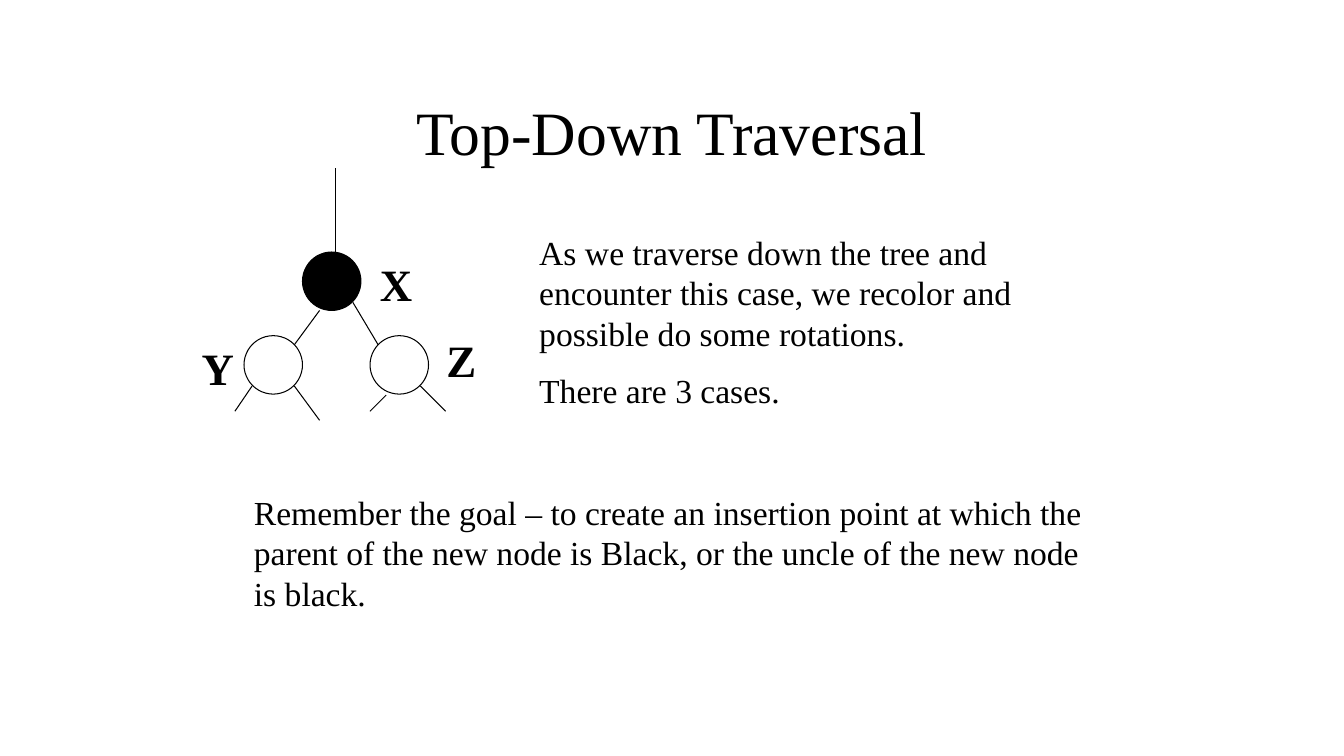
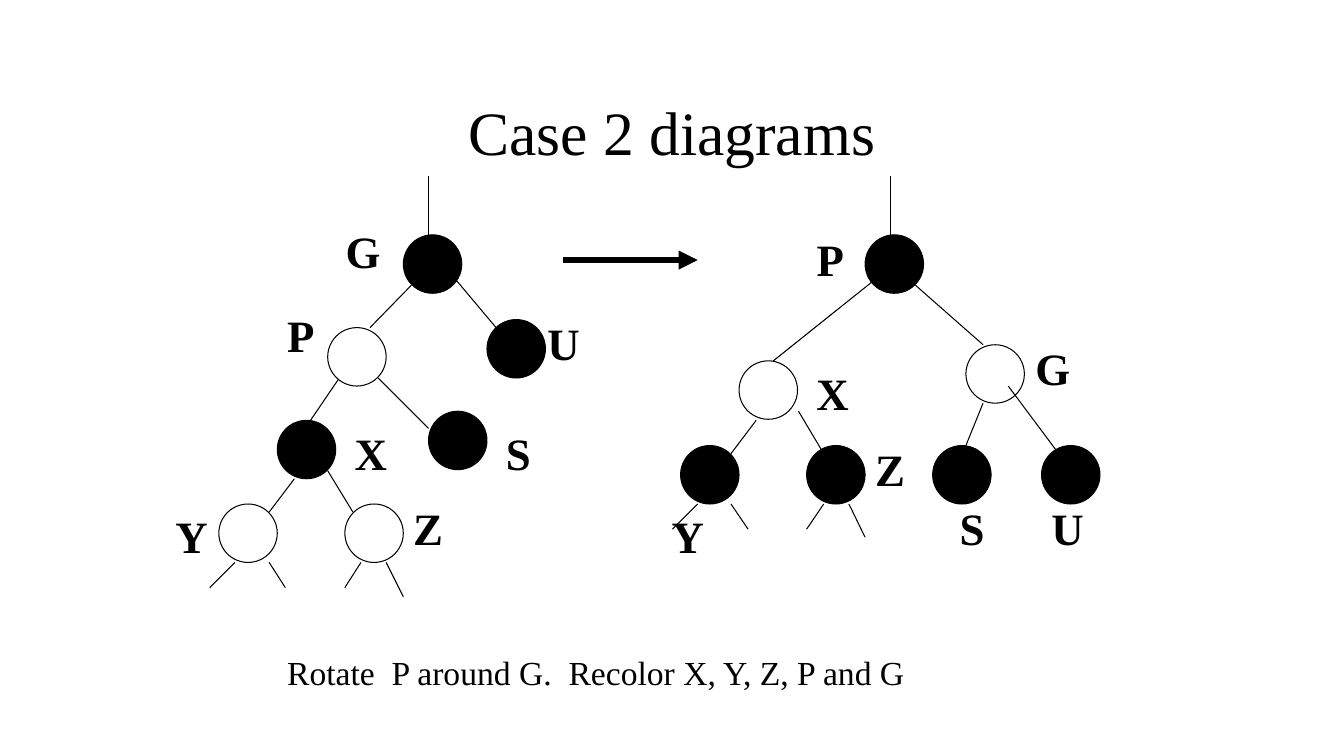
from typing import NamedTuple

from lxml import etree
from pptx import Presentation
from pptx.dml.color import RGBColor
from pptx.enum import shapes, text
from pptx.oxml import ns
from pptx.util import Inches, Pt

BLACK = RGBColor(0x00, 0x00, 0x00)
WHITE = RGBColor(0xFF, 0xFF, 0xFF)
LEFT, CENTER, RIGHT = text.PP_ALIGN.LEFT, text.PP_ALIGN.CENTER, text.PP_ALIGN.RIGHT

FONT = "Times New Roman"
TITLE_FONT = {"name": FONT, "size": Pt(44), "bold": False}
BODY_FONT = {"name": FONT, "size": Pt(24), "bold": False}
LABEL_FONT = {"name": FONT, "size": Pt(32), "bold": True}

NODE_SIZE = 0.58
LABEL_HEIGHT = 0.63
THIN, THICK = 0.75, 4.5


class Box(NamedTuple):
    left: float
    top: float
    width: float
    height: float


TITLE_BOX = Box(1, 0.67, 11.33, 1.25)


class Node(NamedTuple):
    letter: str
    left: float
    top: float
    fill: RGBColor
    label_left: float
    label_top: float
    label_width: float = 0.58
    label_align: text.PP_ALIGN = LEFT


class Branch(NamedTuple):
    x1: float
    y1: float
    x2: float
    y2: float
    behind_nodes: bool = False


class Tree(NamedTuple):
    nodes: list[Node]
    branches: list[Branch]


class Note(NamedTuple):
    box: Box
    paragraphs: list[str]


class TreeSlide(NamedTuple):
    title: str
    trees: list[Tree]
    notes: list[Note]
    arrow: Branch | None = None


TRAVERSAL = TreeSlide(
    "Top-Down Traversal",
    [Tree(
        [
            Node("X", 3, 2.5, BLACK, 3.67, 2.5, 0.5),
            Node("Y", 2.42, 3.33, WHITE, 1.67, 3.33, 0.75, RIGHT),
            Node("Z", 3.67, 3.33, WHITE, 4.33, 3.25),
        ],
        [
            Branch(3.33, 2.5, 3.33, 1.67),
            Branch(3.17, 3.08, 2.92, 3.42),
            Branch(3.5, 3, 3.75, 3.42),
            Branch(2.5, 3.83, 2.33, 4.08),
            Branch(2.92, 3.83, 3.17, 4.17),
            Branch(3.83, 3.92, 3.67, 4.08),
            Branch(4.17, 3.83, 4.42, 4.08),
        ],
    )],
    [
        Note(Box(5.25, 2.25, 5.33, 1.92), [
            "As we traverse down the tree and encounter this case, "
            "we recolor and possible do some rotations.",
            "There are 3 cases.",
        ]),
        Note(Box(2.42, 4.83, 8.58, 1.31), [
            "Remember the goal – to create an insertion point at which the parent "
            "of the new node is Black, or the uncle of the new node is black.",
        ]),
    ],
)

BEFORE_ROTATION = Tree(
    [
        Node("G", 4, 2.33, BLACK, 3.33, 2.17),
        Node("P", 3.25, 3.25, WHITE, 2.75, 3),
        Node("U", 4.83, 3.17, BLACK, 5.33, 3.08),
        Node("X", 2.75, 4.17, BLACK, 3.42, 4.17, 0.5),
        Node("S", 4.25, 4.08, BLACK, 4.92, 4.17),
        Node("Y", 2.17, 5, WHITE, 1.33, 5, 0.83, RIGHT),
        Node("Z", 3.42, 5, WHITE, 4, 4.92),
    ],
    [
        Branch(4.25, 2.33, 4.25, 1.75),
        Branch(3.67, 3.25, 4.08, 2.83),
        Branch(4.5, 2.75, 4.92, 3.25),
        Branch(3.08, 4.17, 3.42, 3.67, behind_nodes=True),
        Branch(3.75, 3.75, 4.25, 4.25),
        Branch(2.92, 4.75, 2.67, 5.08),
        Branch(3.25, 4.67, 3.5, 5.08),
        Branch(2.33, 5.58, 2.08, 5.83),
        Branch(2.67, 5.58, 2.83, 5.83),
        Branch(3.58, 5.58, 3.42, 5.83),
        Branch(3.83, 5.58, 4, 5.92),
    ],
)

AFTER_ROTATION = Tree(
    [
        Node("P", 8.58, 2.33, BLACK, 8, 2.25),
        Node("X", 7.33, 3.58, WHITE, 8, 3.58, 0.5),
        Node("G", 9.58, 3.42, WHITE, 10.17, 3.33),
        Node("Y", 6.75, 4.42, BLACK, 6.25, 5, 0.83, RIGHT),
        Node("Z", 8, 4.42, BLACK, 8.58, 4.33),
        Node("S", 9.25, 4.42, BLACK, 9.42, 4.92),
        Node("U", 10.33, 4.42, BLACK, 10.33, 4.92),
    ],
    [
        Branch(8.83, 2.33, 8.83, 1.75),
        Branch(7.67, 3.58, 8.92, 2.58),
        Branch(9.75, 3.42, 9.08, 2.83),
        Branch(7.5, 4.17, 7.25, 4.5),
        Branch(7.92, 4.08, 8.17, 4.5),
        Branch(9.75, 4, 9.58, 4.42),
        Branch(10, 3.83, 10.5, 4.5),
        Branch(6.92, 5, 6.67, 5.25),
        Branch(7.25, 5, 7.42, 5.25),
        Branch(8.17, 5, 8, 5.25),
        Branch(8.42, 5, 8.58, 5.33),
    ],
)

CASE_2 = TreeSlide(
    "Case 2 diagrams",
    [BEFORE_ROTATION, AFTER_ROTATION],
    [Note(Box(2.75, 6.42, 8.33, 0.5),
          ["Rotate  P around G.  Recolor X, Y, Z, P and G"])],
    Branch(5.58, 2.58, 6.92, 2.58),
)


def add_text(slide, box: Box, paragraphs: list[str], font: dict,
             align: text.PP_ALIGN = LEFT, grow: bool = True) -> None:
    frame = slide.shapes.add_textbox(*map(Inches, box)).text_frame
    frame.word_wrap = True
    if grow:
        frame.auto_size = text.MSO_AUTO_SIZE.SHAPE_TO_FIT_TEXT
    else:
        frame.vertical_anchor = text.MSO_ANCHOR.MIDDLE
    for index, words in enumerate(paragraphs):
        paragraph = frame.add_paragraph() if index else frame.paragraphs[0]
        paragraph.alignment = align
        if index:
            paragraph.space_before = font["size"] // 2
        run = paragraph.add_run()
        run.text = words
        for attribute, value in font.items():
            setattr(run.font, attribute, value)
        run.font.color.rgb = BLACK


def add_branch(slide, branch: Branch, weight: float = THIN, arrowhead: bool = False) -> None:
    line = slide.shapes.add_connector(
        shapes.MSO_CONNECTOR.STRAIGHT, *map(Inches, branch[:4]))
    line.line.color.rgb = BLACK
    line.line.width = Pt(weight)
    if arrowhead:
        outline = line.line._get_or_add_ln()
        etree.SubElement(outline, ns.qn("a:tailEnd"), type="triangle")
    etree.SubElement(line._element.spPr, ns.qn("a:effectLst"))


def add_node(slide, node: Node) -> None:
    """Draw the circle and the letter beside it."""
    circle = slide.shapes.add_shape(
        shapes.MSO_SHAPE.OVAL,
        *map(Inches, (node.left, node.top, NODE_SIZE, NODE_SIZE)))
    circle.shadow.inherit = False
    circle.fill.solid()
    circle.fill.fore_color.rgb = node.fill
    circle.line.color.rgb = BLACK
    circle.line.width = Pt(THIN)
    label_box = Box(node.label_left, node.label_top, node.label_width, LABEL_HEIGHT)
    add_text(slide, label_box, [node.letter], LABEL_FONT, node.label_align)


def add_tree(slide, tree: Tree) -> None:
    for branch in tree.branches:
        if branch.behind_nodes:
            add_branch(slide, branch)
    for node in tree.nodes:
        add_node(slide, node)
    for branch in tree.branches:
        if not branch.behind_nodes:
            add_branch(slide, branch)


def add_tree_slide(deck, content: TreeSlide) -> None:
    slide = deck.slides.add_slide(deck.slide_layouts[6])
    add_text(slide, TITLE_BOX, [content.title], TITLE_FONT, CENTER, grow=False)
    for tree in content.trees:
        add_tree(slide, tree)
    for note in content.notes:
        add_text(slide, note.box, note.paragraphs, BODY_FONT)
    if content.arrow:
        add_branch(slide, content.arrow, THICK, arrowhead=True)


def main() -> None:
    deck = Presentation()
    deck.slide_width, deck.slide_height = Inches(13.33), Inches(7.5)
    for content in (TRAVERSAL, CASE_2):
        add_tree_slide(deck, content)
    deck.save("out.pptx")


if __name__ == "__main__":
    main()
